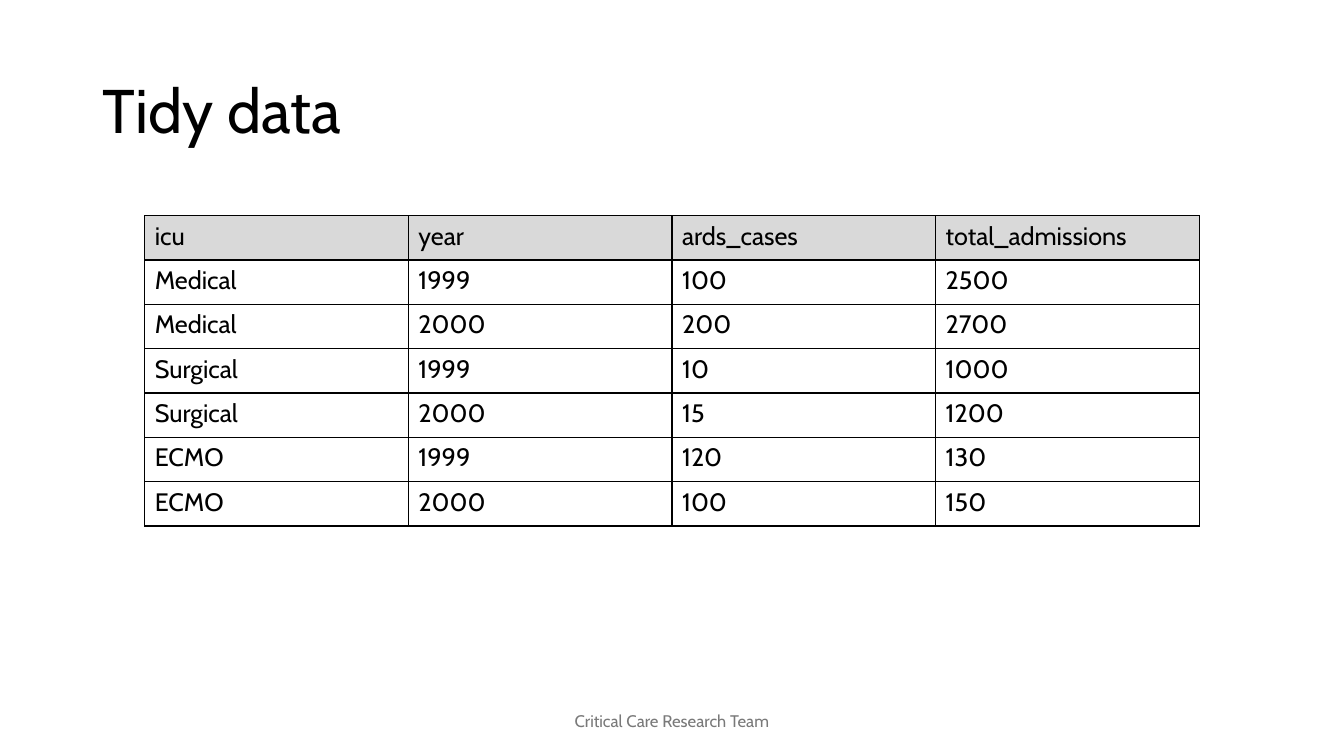
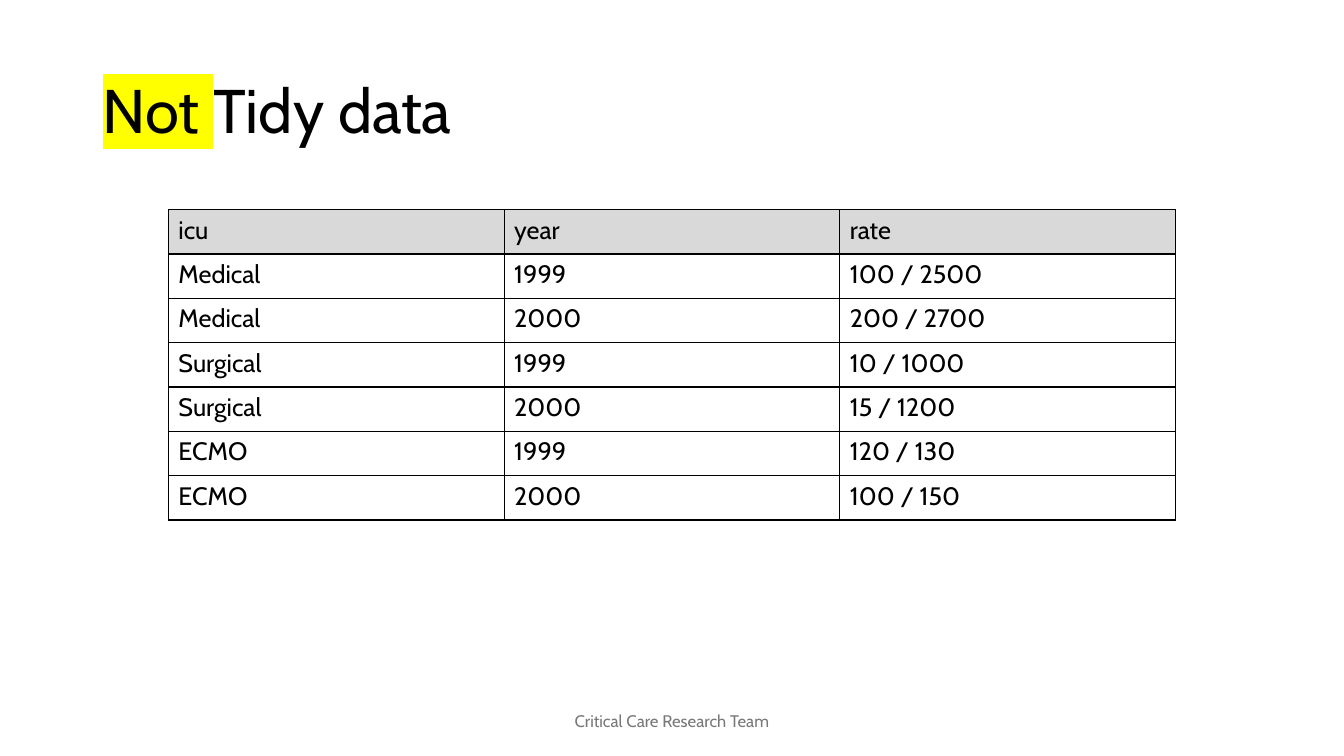
from dataclasses import dataclass

from lxml.etree import SubElement
from pptx import Presentation
from pptx.dml.color import RGBColor as Color
from pptx.enum.text import MSO_ANCHOR as Anchor, PP_ALIGN as Align
from pptx.oxml.ns import qn
from pptx.util import Inches, Pt


@dataclass(frozen=True)
class Theme:
    font: str = "Cabin"
    ink: str = "000000"
    muted: str = "797979"
    header: str = "D9D9D9"
    marker: str = "FFFF00"
    title_size: int = 44
    table_size: int = 18
    footer_size: int = 12
    border: int = 1


theme = Theme()
deck = Presentation()
deck.slide_width, deck.slide_height = Inches(13.33), Inches(7.5)
title_only = deck.slide_layouts[5]


def style(para, size, color, align=Align.LEFT):
    para.alignment = align
    para.font.name = theme.font
    para.font.size = Pt(size)
    para.font.color.rgb = Color.from_string(color)


def add_color(parent, tag, color):
    element = SubElement(parent, qn(tag))
    SubElement(element, qn("a:srgbClr"), val=color)
    return element


records = [
    ("Medical", 1999, 100, 2500),
    ("Medical", 2000, 200, 2700),
    ("Surgical", 1999, 10, 1000),
    ("Surgical", 2000, 15, 1200),
    ("ECMO", 1999, 120, 130),
    ("ECMO", 2000, 100, 150),
]
tidy = [("icu", "year", "ards_cases", "total_admissions"), *records]
untidy = [("icu", "year", "rate")]
untidy += [(icu, year, f"{cases} / {total}") for icu, year, cases, total in records]

row_height = Inches(0.44)
slides = [
    ("", "Tidy data", tidy, Inches(2.14), Inches(2.615)),
    ("Not ", "Tidy data", untidy, Inches(2.08), Inches(3.33)),
]

for marked, plain, rows, top, column_width in slides:
    page = deck.slides.add_slide(title_only)

    title = page.shapes.title
    title.left, title.top = Inches(0.92), Inches(0.4)
    title.width, title.height = Inches(11.5), Inches(1.45)
    title.text_frame.vertical_anchor = Anchor.MIDDLE
    para = title.text_frame.paragraphs[0]
    para.line_spacing = 0.9
    style(para, theme.title_size, theme.ink)
    if marked:
        span = para.add_run()
        span.text = marked
        add_color(span.font._element, "a:highlight", theme.marker)
    para.add_run().text = plain

    footer_width = Inches(4.5)
    footer = page.shapes.add_textbox(
        (deck.slide_width - footer_width) // 2, Inches(6.95), footer_width, Inches(0.4)
    )
    footer.text_frame.word_wrap = True
    footer.text_frame.vertical_anchor = Anchor.MIDDLE
    para = footer.text_frame.paragraphs[0]
    para.text = "Critical Care Research Team"
    style(para, theme.footer_size, theme.muted, Align.CENTER)

    columns = len(rows[0])
    table_width = columns * column_width
    table = page.shapes.add_table(
        len(rows), columns, (deck.slide_width - table_width) // 2, top,
        table_width, len(rows) * row_height,
    ).table
    table.first_row = table.horz_banding = False
    for row_index, row in enumerate(rows):
        for column_index, value in enumerate(row):
            cell = table.cell(row_index, column_index)
            para = cell.text_frame.paragraphs[0]
            para.text = str(value)
            style(para, theme.table_size, theme.ink)
            properties = cell._tc.get_or_add_tcPr()
            for side in ("a:lnL", "a:lnR", "a:lnT", "a:lnB"):
                line = SubElement(properties, qn(side), w=str(Pt(theme.border)))
                add_color(line, "a:solidFill", theme.ink)
            if row_index == 0:
                cell.fill.solid()
                cell.fill.fore_color.rgb = Color.from_string(theme.header)
            else:
                cell.fill.background()

deck.save("out.pptx")
